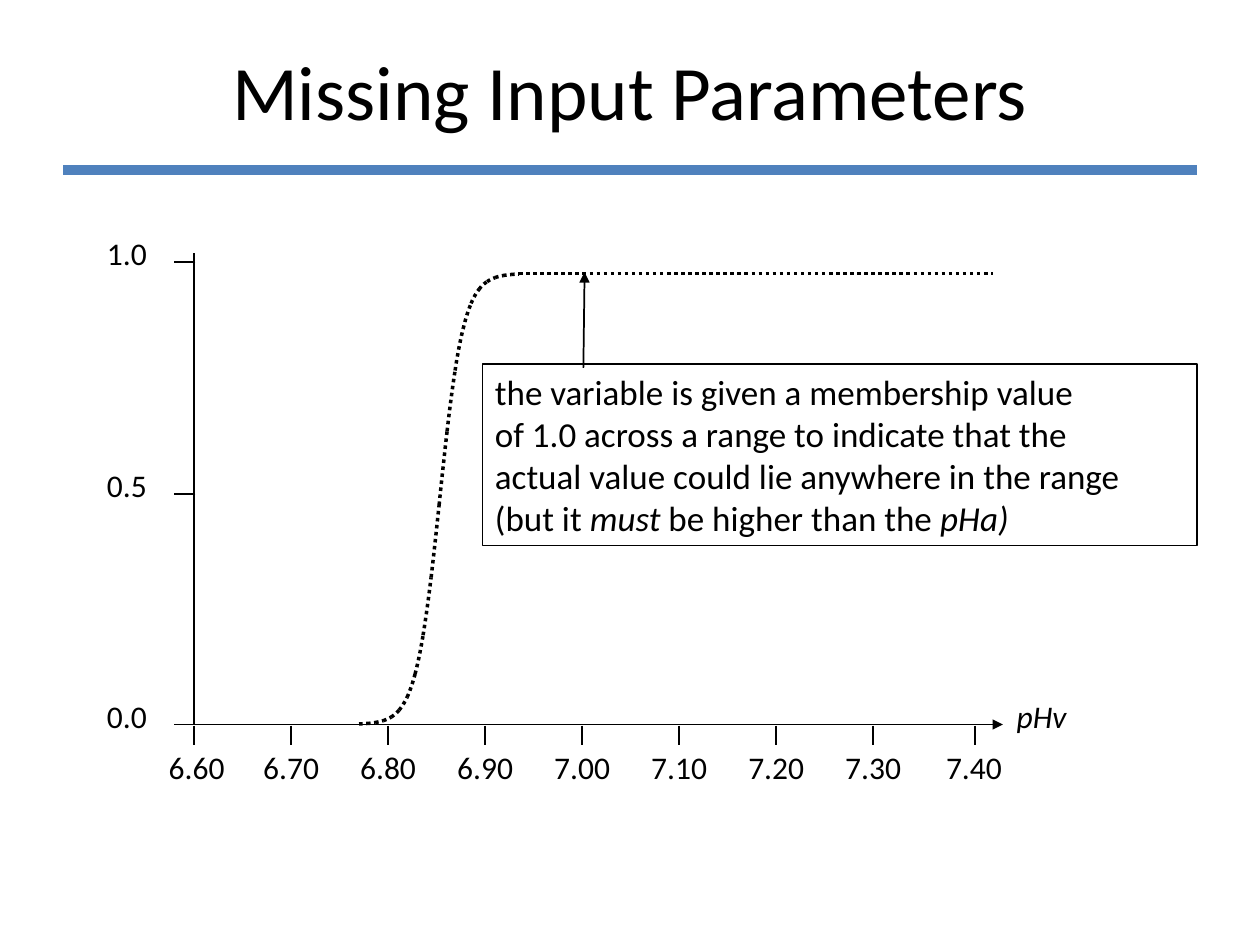
import math
from dataclasses import dataclass

from lxml import etree
from pptx import Presentation, util as u
from pptx.dml.color import RGBColor
from pptx.enum import dml, shapes, text
from pptx.oxml.ns import qn

BLACK = "000000"
BLUE = "4F81BD"
FONT = "Calibri"
BASE, TOP = 5.75, 2.17  # heights of membership 0 and of the plateau
MID, STEEP = 3.49, 10.6  # centre and slope of the curve
START, BEND, END = 2.85, 4.12, 7.88
PARTS, STEPS = 20, 6  # pieces of the curve, and lines in each


@dataclass
class Tick:
    label: str
    spot: float
    left: float = 0.75


@dataclass
class Line:
    x1: float
    y1: float
    x2: float
    y2: float
    width: float = 1
    hue: str = BLACK
    arrow: bool = False
    dots: bool = False


def paint(target, hue: str) -> None:
    """Set the colour of a font or a line."""
    fill = target.fill
    fill.solid()
    fill.fore_color.rgb = RGBColor.from_string(hue)


def style(runs, size: float, slant: bool = False) -> None:
    for run in runs:
        run.font.name, run.font.size = FONT, u.Pt(size)
        run.font.italic = slant
        paint(run.font, BLACK)


def draw_line(slide, line: Line) -> None:
    ends = [u.Inches(n) for n in (line.x1, line.y1, line.x2, line.y2)]
    link = slide.shapes.add_connector(shapes.MSO_CONNECTOR.STRAIGHT, *ends)
    link.line.width = u.Pt(line.width)
    paint(link.line, line.hue)
    if line.dots:
        link.line.dash_style = dml.MSO_LINE.ROUND_DOT
    props = link._element.spPr
    if line.arrow:
        etree.SubElement(props.find(qn("a:ln")), qn("a:tailEnd"), type="triangle")
    etree.SubElement(props, qn("a:effectLst"))


def draw_label(slide, words: str, left: float, top: float, width: float,
               slant: bool = False) -> None:
    box = slide.shapes.add_textbox(*map(u.Inches, (left, top, width, 0.5)))
    frame = box.text_frame
    frame.text = words
    frame.word_wrap = False
    frame.auto_size = text.MSO_AUTO_SIZE.SHAPE_TO_FIT_TEXT
    style(frame.paragraphs[0].runs, 18, slant)


def point(i: int) -> tuple[int, int]:
    """Return step i of the logistic curve."""
    x = START + (BEND - START) * i / (PARTS * STEPS)
    y = BASE - (BASE - TOP) / (1 + math.exp(-STEEP * (x - MID)))
    return u.Inches(x), u.Inches(y)


def draw_curve(slide) -> None:
    """Draw the rising part of the membership function in short pieces."""
    group = slide.shapes.add_group_shape()
    for part in range(PARTS):
        first = part * STEPS
        points = [point(i) for i in range(first, first + STEPS + 1)]
        pen = group.shapes.build_freeform(*points[0])
        pen.add_line_segments(points[1:], close=False)
        curve = pen.convert_to_shape()
        curve.shadow.inherit = False
        curve.fill.background()
        curve.line.width = u.Pt(2)
        curve.line.dash_style = dml.MSO_LINE.ROUND_DOT
        paint(curve.line, BLACK)


def draw_note(slide) -> None:
    spot = map(u.Inches, (3.83, 2.89, 5.67, 1.44))
    note = slide.shapes.add_shape(shapes.MSO_SHAPE.RECTANGLE, *spot)
    note.shadow.inherit = False
    note.fill.background()
    note.line.width = u.Pt(1)
    paint(note.line, BLACK)
    frame = note.text_frame
    frame.word_wrap = True
    frame.auto_size = text.MSO_AUTO_SIZE.SHAPE_TO_FIT_TEXT
    frame.vertical_anchor = text.MSO_ANCHOR.TOP
    frame.text = ("the variable is given a membership value\n"
                  "of 1.0 across a range to indicate that the \v"
                  "actual value could lie anywhere in the range\n"
                  "(but it ")
    last = frame.paragraphs[-1]
    for words in ("must", " be higher than the ", "pHa)"):
        last.add_run().text = words
    for para in frame.paragraphs:
        para.alignment = text.PP_ALIGN.LEFT
        style(para.runs, 20)
    style(last.runs[1::2], 20, slant=True)


def draw_axes(slide) -> None:
    draw_line(slide, Line(1.54, 2.01, 1.54, BASE))
    draw_line(slide, Line(1.54, BASE, 7.96, BASE, arrow=True))
    draw_label(slide, "pHv", 7.97, 5.48, 0.79, slant=True)

    for tick in (Tick("0.0", BASE), Tick("0.5", 3.92), Tick("1.0", 2.08)):
        draw_line(slide, Line(1.55, tick.spot, 1.38, tick.spot))
        draw_label(slide, tick.label, tick.left, tick.spot - 0.27, 0.66)

    ticks = []
    for i in range(9):
        x = 1.54 + 0.77 * i
        ticks.append(Tick(f"{6.6 + i / 10:.2f}", x, x - 0.32))
    ticks[0].left = 1.24
    ticks[-1].spot, ticks[-1].left = 7.74, 7.41
    for tick in ticks:
        draw_line(slide, Line(tick.spot, 5.76, tick.spot, 5.91))
        draw_label(slide, tick.label, tick.left, 5.89, 0.85)


def draw_title(slide) -> None:
    title = slide.shapes.title
    title.left, title.top = u.Inches(0.5), u.Inches(0.09)
    title.width, title.height = u.Inches(9), u.Inches(1.25)
    frame = title.text_frame
    frame.text = "Missing Input Parameters"
    frame.vertical_anchor = text.MSO_ANCHOR.MIDDLE
    frame.paragraphs[0].alignment = text.PP_ALIGN.CENTER
    style(frame.paragraphs[0].runs, 44)


def main() -> None:
    deck = Presentation()
    deck.slide_width, deck.slide_height = u.Inches(10), u.Inches(7.5)
    slide = deck.slides.add_slide(deck.slide_layouts[5])
    draw_title(slide)
    draw_line(slide, Line(0.5, 1.35, 9.5, 1.35, 6, BLUE))
    draw_axes(slide)
    draw_note(slide)
    draw_line(slide, Line(4.63, 2.92, 4.64, 2.16, arrow=True))
    draw_curve(slide)
    draw_line(slide, Line(BEND, TOP, END, TOP, 2, dots=True))
    deck.save("out.pptx")


if __name__ == "__main__":
    main()
